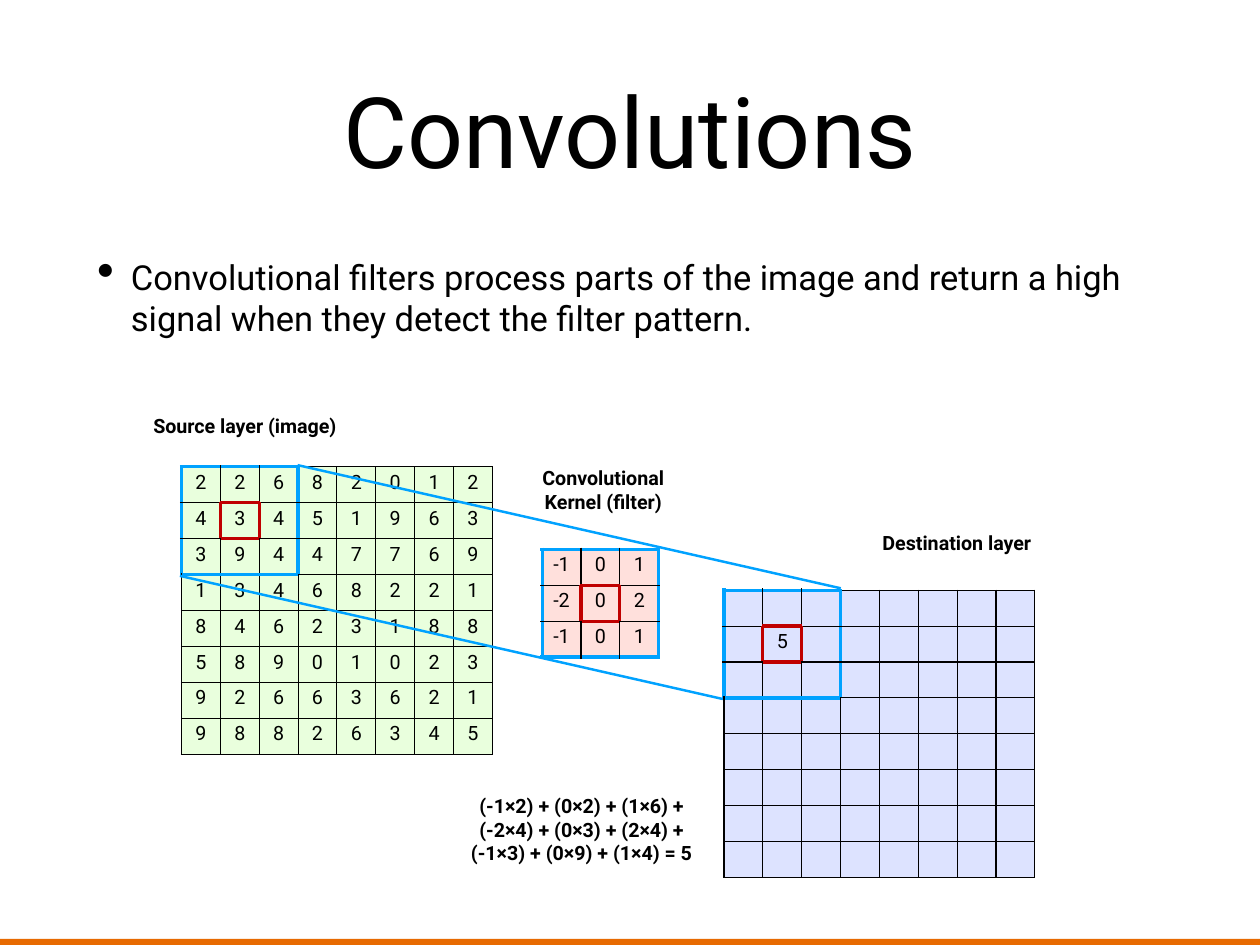
"""Build the slide that explains convolutions with three number grids."""
from lxml import etree
from pptx import Presentation
from pptx import util as u
from pptx.dml.color import RGBColor
from pptx.enum import shapes, text
from pptx.oxml.ns import qn

BLACK = RGBColor(0x00, 0x00, 0x00)
BLUE = RGBColor(0x00, 0xA2, 0xFF)
RED = RGBColor(0xC0, 0x00, 0x00)
ORANGE = RGBColor(0xE7, 0x6A, 0x01)
GREEN_TINT = RGBColor(0xE9, 0xFF, 0xDD)
BLUE_TINT = RGBColor(0xDD, 0xE3, 0xFF)
RED_TINT = RGBColor(0xFF, 0xE0, 0xDC)

FONT = "Roboto"
PAGE = (1024, 768)
CELL = (31.6, 29.2)
BLOCK = 3
FOOTER = (0, 763, 1024, 5)

TITLE = "Convolutions"
BULLET = ("Convolutional filters process parts of the image and return a high "
          "signal when they detect the filter pattern.")
SOURCE = ["22682012", "43451963", "39447769", "13468221",
          "84623188", "58901023", "92663621", "98826345"]
KERNEL = [("-1", "0", "1"), ("-2", "0", "2"), ("-1", "0", "1")]
DESTINATION = [["5" if (row, col) == (1, 1) else "" for col in range(8)]
               for row in range(8)]

SOURCE_AT = (147.5, 379.4)
DESTINATION_AT = (588.4, 479.6)
KERNEL_AT = (440.6, 446.4)
PROJECTIONS = [((241.9, 378), (683.3, 478.1)), ((146.2, 468), (587.5, 568.1))]
LABELS = [
    ((373, 641.5, 199.4, 65.5), ["(-1×2) + (0×2) + (1×6) +",
                                 "(-2×4) + (0×3) + (2×4) +",
                                 "(-1×3) + (0×9) + (1×4) = 5"]),
    ((112.3, 332.6, 173.5, 26.6), ["Source layer (image)"]),
    ((707.8, 427.7, 139.7, 28.8), ["Destination layer"]),
    ((429.1, 375.1, 122.4, 46.1), ["Convolutional", "Kernel (filter)"]),
]
SIDES = {"lnL": (0, -1), "lnR": (0, 1), "lnT": (-1, 0), "lnB": (1, 0)}


def points(values):
    return [u.Pt(value) for value in values]


def apply(target, values):
    for name, value in values.items():
        setattr(target, name, value)


def write(para, words, size, bold=False, align=text.PP_ALIGN.CENTER):
    para.alignment = align
    span = para.add_run()
    span.text = words
    apply(span.font, {"name": FONT, "size": u.Pt(size), "bold": bold})
    span.font.color.rgb = BLACK


def add_box(page, place, lines, size, frame_format, **style):
    box = page.shapes.add_textbox(*points(place))
    frame = box.text_frame
    apply(frame, frame_format)
    for index, words in enumerate(lines):
        para = frame.add_paragraph() if index else frame.paragraphs[0]
        write(para, words, size, **style)
    return box


def add_bullet(para):
    props = para._p.get_or_add_pPr()
    props.set("marL", str(u.Pt(27.4)))
    props.set("indent", str(u.Pt(-27.4)))
    etree.SubElement(props, qn("a:buSzPct")).set("val", "145000")
    etree.SubElement(props, qn("a:buChar")).set("char", "•")


def zone(row, col):
    if (row, col) == (1, 1):
        return 2
    return int(0 <= row < BLOCK and 0 <= col < BLOCK)


def border(row, col, step):
    here, beyond = zone(row, col), zone(row + step[0], col + step[1])
    if here == beyond:
        return BLACK, 1
    return (RED if 2 in (here, beyond) else BLUE), 3


def draw_borders(cell, row, col):
    props = cell._tc.get_or_add_tcPr()
    for index, (side, step) in enumerate(SIDES.items()):
        color, width = border(row, col, step)
        line = etree.Element(qn("a:" + side), w=str(u.Pt(width)))
        fill = etree.SubElement(line, qn("a:solidFill"))
        etree.SubElement(fill, qn("a:srgbClr")).set("val", str(color))
        props.insert(index, line)


def add_grid(page, place, values, tint):
    rows, cols = len(values), len(values[0])
    size = (cols * CELL[0], rows * CELL[1])
    grid = page.shapes.add_table(rows, cols, *points(place + size)).table
    apply(grid, {"first_row": False, "horz_banding": False})
    for column in grid.columns:
        column.width = u.Pt(CELL[0])
    for row, line in enumerate(values):
        grid.rows[row].height = u.Pt(CELL[1])
        for col, value in enumerate(line):
            cell = grid.cell(row, col)
            cell.fill.solid()
            cell.fill.fore_color.rgb = tint
            draw_borders(cell, row, col)
            if value:
                write(cell.text_frame.paragraphs[0], value, 16)


def add_projection(page, start, end):
    line = page.shapes.add_connector(
        shapes.MSO_CONNECTOR.STRAIGHT, *points(start + end))
    line.line.color.rgb = BLUE
    line.line.width = u.Pt(2)
    etree.SubElement(line._element.spPr, qn("a:effectLst"))


def main():
    deck = Presentation()
    deck.slide_width, deck.slide_height = points(PAGE)
    page = deck.slides.add_slide(deck.slide_layouts[6])

    footer = page.shapes.add_shape(
        shapes.MSO_SHAPE.RECTANGLE, *points(FOOTER))
    footer.shadow.inherit = False
    footer.fill.solid()
    footer.fill.fore_color.rgb = ORANGE
    footer.line.fill.background()

    wide = {"word_wrap": True}
    for side in ("left", "right", "top", "bottom"):
        wide["margin_" + side] = u.Pt(4)
    body = add_box(page, (75, 204, 904, 495), [BULLET], 28, wide,
                   align=text.PP_ALIGN.LEFT)
    add_bullet(body.text_frame.paragraphs[0])
    add_box(page, (75, 20, 874, 170), [TITLE], 80,
            {**wide, "vertical_anchor": text.MSO_ANCHOR.MIDDLE})

    add_grid(page, SOURCE_AT, SOURCE, GREEN_TINT)
    for start, end in PROJECTIONS:
        add_projection(page, start, end)
    add_grid(page, DESTINATION_AT, DESTINATION, BLUE_TINT)
    add_grid(page, KERNEL_AT, KERNEL, RED_TINT)

    snug = {"word_wrap": False,
            "auto_size": text.MSO_AUTO_SIZE.SHAPE_TO_FIT_TEXT}
    for place, lines in LABELS:
        add_box(page, place, lines, 16, snug, bold=True)

    deck.save("out.pptx")


if __name__ == "__main__":
    main()
